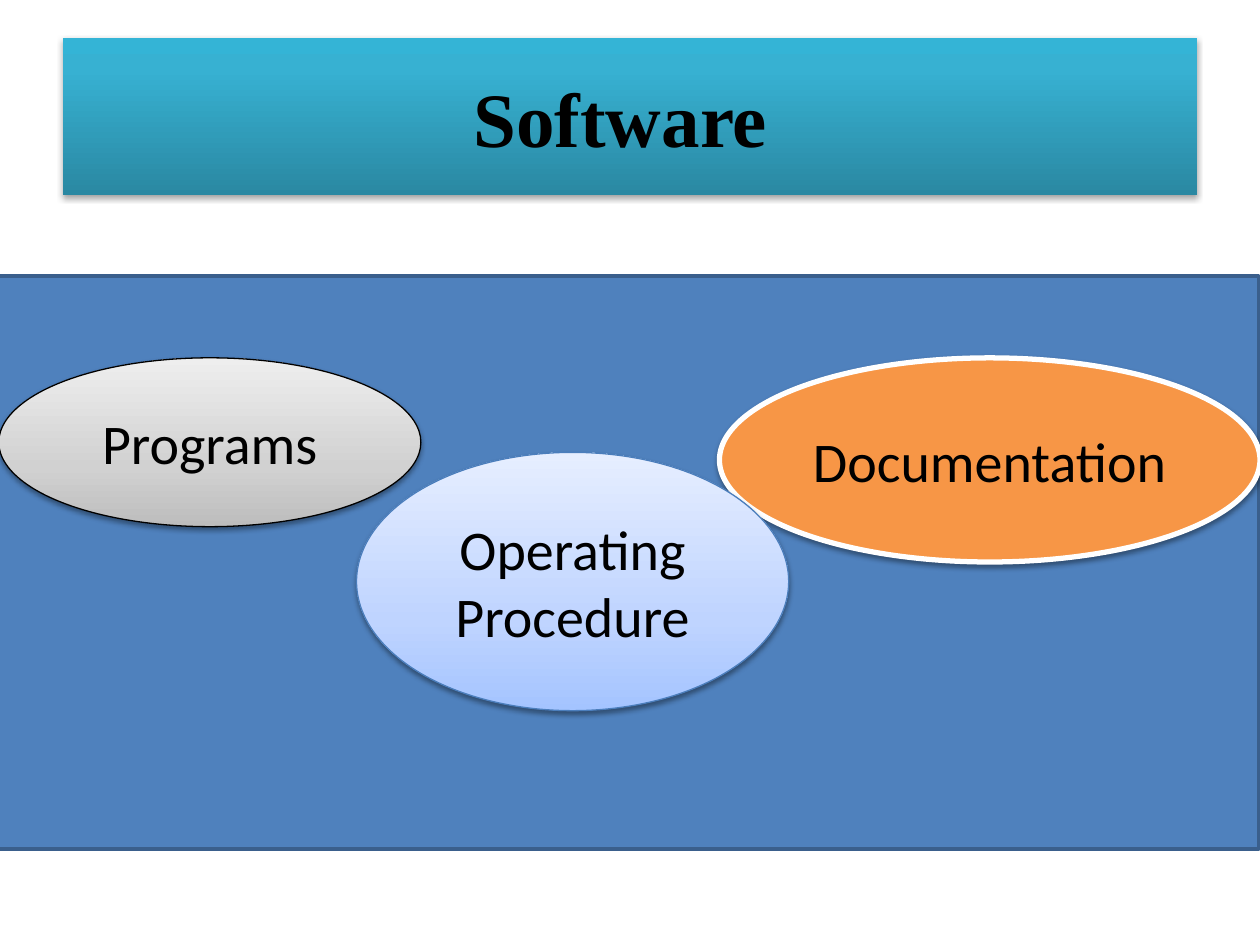
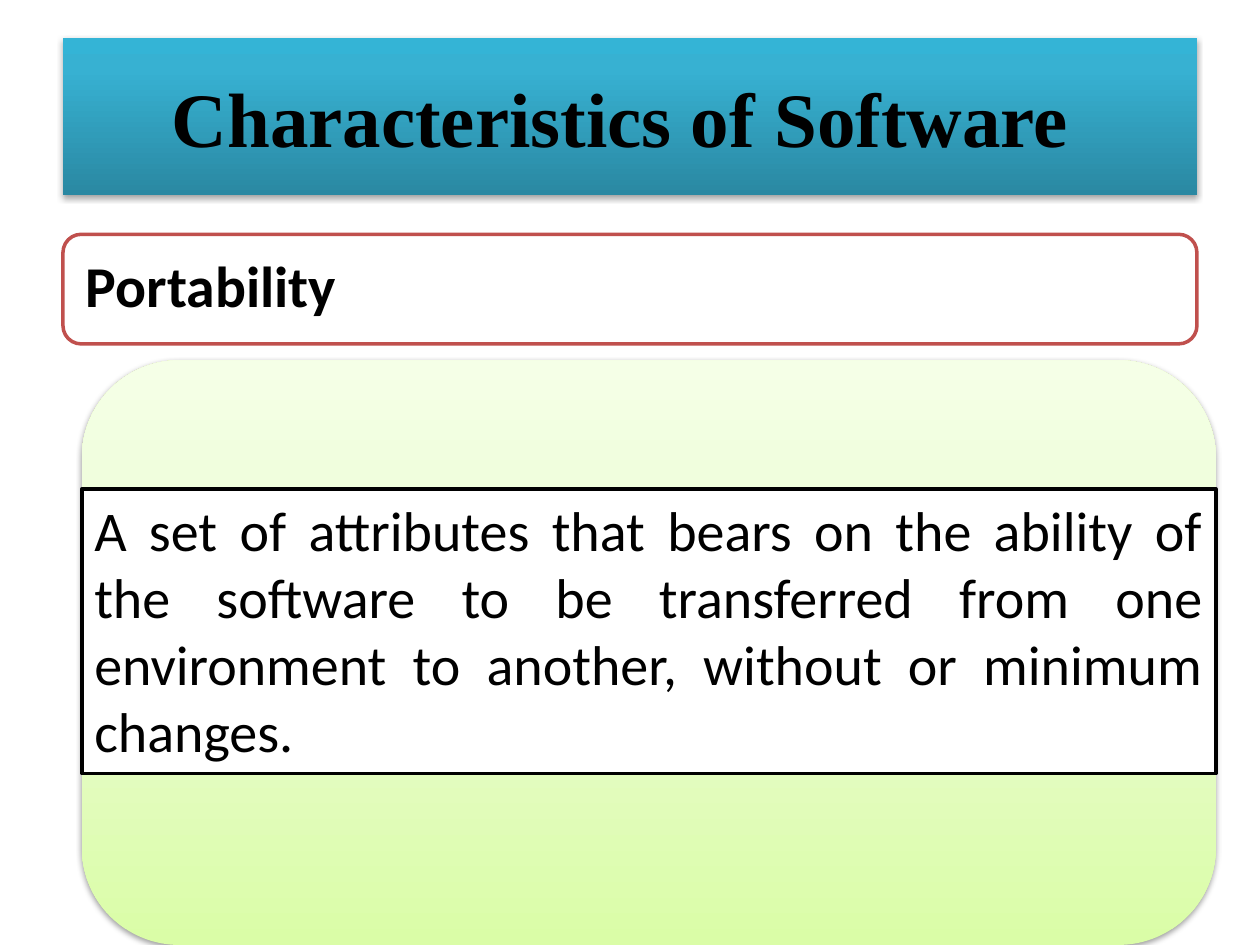
from dataclasses import dataclass
from lxml import etree
from pptx import Presentation
from pptx import util as u
from pptx.dml.color import RGBColor
from pptx.enum import shapes, text
from pptx.oxml import ns


@dataclass(frozen=True)
class Theme:
    ink = "000000"
    paper = "FFFFFF"
    panel = "4F81BD"
    panel_edge = "3A5F8C"
    orange = "F79646"
    blue_edge = "4B7EBC"
    red_edge = "C0504D"
    teal = ((0, "2A88A2"), (80, "37B1D2"), (100, "34B4D6"))
    grey = ((0, "BDBDBD"), (35, "D1D1D1"), (100, "EEEEEE"))
    blue = ((0, "A4C4FF"), (35, "BFD4FF"), (100, "E6EEFF"))
    green = ((0, "DAFDA7"), (35, "E4FCC2"), (100, "F5FFE7"))
    title_font = "Times New Roman"
    body_font = "Calibri"
    title_size = 44
    heading_size = 33
    body_size = 32
    title_shadow = (35, 1.8)
    shape_shadow = (38, 1.6)


T = Theme()
SHAPE = shapes.MSO_SHAPE
ALIGN = text.PP_ALIGN
TITLE_BOX = (0.5, 0.3, 9, 1.25)

SLIDES = [
    ("Software ", [
        dict(box=(-0.01, 2.19, 10, 4.55), fill=T.panel, line=(T.panel_edge, 2)),
        dict(words="Programs", kind=SHAPE.OVAL, box=(-0.01, 2.84, 3.35, 1.34),
             fill=T.grey, line=(T.ink, 0.75), shadow=T.shape_shadow),
        dict(words="Documentation", kind=SHAPE.OVAL, box=(5.71, 2.84, 4.29, 1.62),
             fill=T.orange, line=(T.paper, 3), shadow=T.shape_shadow),
        dict(words="Operating Procedure", kind=SHAPE.OVAL, box=(2.83, 3.59, 3.43, 2.05),
             fill=T.blue, line=(T.blue_edge, 0.75), shadow=T.shape_shadow),
    ]),
    ("Characteristics of Software ", [
        dict(words="Portability", kind=SHAPE.ROUNDED_RECTANGLE, box=(0.5, 1.86, 9, 0.87),
             fill=T.paper, line=(T.red_edge, 2), size=T.heading_size, bold=True,
             align=ALIGN.LEFT, inset=0.14, spacing=0.9),
        dict(kind=SHAPE.ROUNDED_RECTANGLE, box=(0.65, 2.86, 9, 4.64),
             fill=T.green, shadow=T.shape_shadow),
        dict(words="A set of attributes that bears on the ability of the software to be "
                   "transferred from one environment to another, without or minimum changes.",
             box=(0.65, 3.88, 9, 2.26), fill=T.paper, line=(T.ink, 2),
             align=ALIGN.JUSTIFY, anchor=text.MSO_ANCHOR.TOP),
    ]),
]


def assign(target, values):
    for name, value in values.items():
        setattr(target, name, value)


def add_coloured(parent, tag, colour, **attributes):
    holder = etree.SubElement(parent, ns.qn(tag), attributes)
    return etree.SubElement(holder, ns.qn("a:srgbClr"), val=colour)


def paint(shape, fill, line=None, shadow=None):
    if isinstance(fill, str):
        shape.fill.solid()
        shape.fill.fore_color.rgb = RGBColor.from_string(fill)
    else:
        shape.fill.gradient()
        shape.fill.gradient_angle = 90
        stops = shape.element.spPr.find(".//" + ns.qn("a:gsLst"))
        for stop in list(stops):
            stops.remove(stop)
        for position, colour in fill:
            add_coloured(stops, "a:gs", colour, pos=str(position * 1000))
    if line:
        colour, width = line
        shape.line.color.rgb = RGBColor.from_string(colour)
        shape.line.width = u.Pt(width)
    else:
        shape.line.fill.background()
    shape.shadow.inherit = False
    if shadow:
        opacity, distance = shadow
        effects = shape.element.spPr.find(ns.qn("a:effectLst"))
        colour = add_coloured(effects, "a:outerShdw", T.ink, blurRad=str(u.Pt(3.1)),
                              dist=str(u.Pt(distance)), dir="5400000", rotWithShape="0")
        etree.SubElement(colour, ns.qn("a:alpha"), val=str(opacity * 1000))


def write(shape, words, size=T.body_size, font=T.body_font, bold=False,
          align=ALIGN.CENTER, anchor=text.MSO_ANCHOR.MIDDLE, inset=None, spacing=None):
    frame = shape.text_frame
    frame.text = words
    assign(frame, dict(word_wrap=True, auto_size=text.MSO_AUTO_SIZE.NONE,
                       vertical_anchor=anchor))
    if inset is not None:
        sides = ("left", "top", "right", "bottom")
        assign(frame, {f"margin_{side}": u.Inches(inset) for side in sides})
    paragraph = frame.paragraphs[0]
    assign(paragraph, dict(alignment=align, line_spacing=spacing))
    run_font = paragraph.runs[0].font
    assign(run_font, dict(name=font, size=u.Pt(size), bold=bold))
    run_font.color.rgb = RGBColor.from_string(T.ink)


def add_title(slide, words):
    title = slide.shapes.title
    assign(title, dict(zip(("left", "top", "width", "height"), map(u.Inches, TITLE_BOX))))
    paint(title, T.teal, shadow=T.title_shadow)
    write(title, words, size=T.title_size, font=T.title_font, bold=True)


def add_part(slide, box, fill, kind=SHAPE.RECTANGLE, line=None, shadow=None,
             words=None, **style):
    part = slide.shapes.add_shape(kind, *map(u.Inches, box))
    paint(part, fill, line, shadow)
    if words:
        write(part, words, **style)


def main():
    deck = Presentation()
    assign(deck, dict(slide_width=u.Inches(10), slide_height=u.Inches(7.5)))
    title_only = deck.slide_layouts.get_by_name("Title Only")
    for heading, parts in SLIDES:
        slide = deck.slides.add_slide(title_only)
        add_title(slide, heading)
        for part in parts:
            add_part(slide, **part)
    deck.save("out.pptx")


if __name__ == "__main__":
    main()
